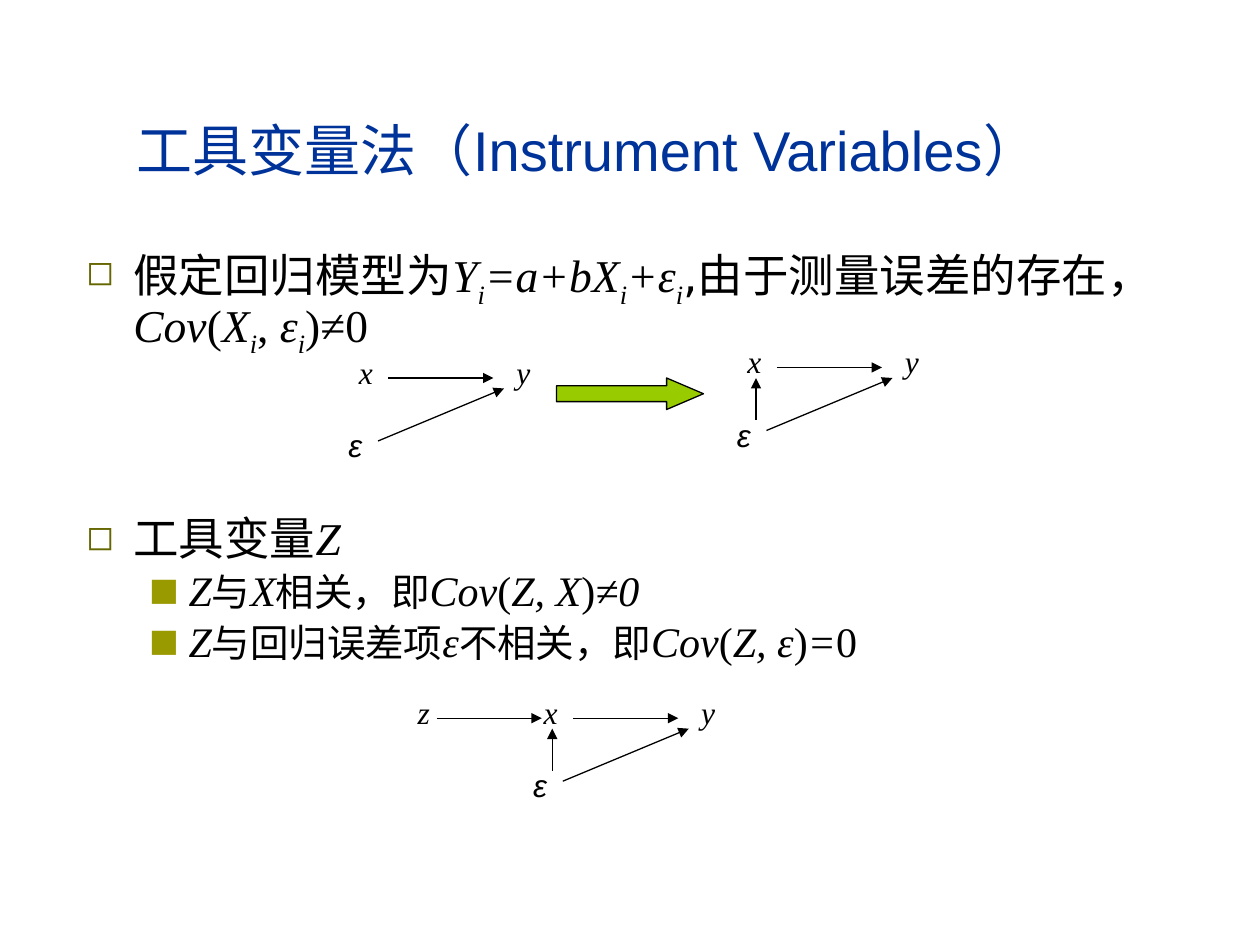
from dataclasses import dataclass

from lxml.etree import SubElement
from pptx import Presentation
from pptx.dml.color import RGBColor as Color
from pptx.enum.shapes import MSO_CONNECTOR as Connector, MSO_SHAPE as Shape
from pptx.enum.text import MSO_ANCHOR as Anchor, MSO_AUTO_SIZE as AutoSize, PP_ALIGN as Align
from pptx.oxml.ns import qn
from pptx.util import Pt


@dataclass(frozen=True)
class Theme:
    title_color: str = "003399"
    ink: str = "000000"
    arrow_fill: str = "99CC00"
    bullet_colors: tuple = ("666600", "999900")
    bullet_marks: tuple = ("◻", "■")
    bullet_indents: tuple = ((27, -27), (58.5, -22.5))
    title_size: int = 32
    body_size: int = 26
    sub_size: int = 22
    sub_math_size: int = 24
    label_size: int = 18
    line_width: float = 0.75
    sans: str = "Arial"
    cjk: str = "DejaVu Sans"
    serif: str = "Times New Roman"


def add_text(para, text, *, font, size, color, italic=False, subscript=False):
    span = para.add_run()
    span.text = text
    span.font.name, span.font.size = font, Pt(size)
    span.font.italic = italic
    span.font.color.rgb = Color.from_string(color)
    properties = span.font._element
    SubElement(properties, qn("a:ea")).set("typeface", font)
    if subscript:
        properties.set("baseline", "-25000")


class SlideBuilder:
    def __init__(self, slide, theme):
        self.slide, self.theme = slide, theme

    def place(self, shape, left, top, width, height):
        shape.left, shape.top = Pt(left), Pt(top)
        shape.width, shape.height = Pt(width), Pt(height)

    def title(self, text, *place):
        box = self.slide.shapes.title
        self.place(box, *place)
        box.text_frame.vertical_anchor = Anchor.BOTTOM
        box.text_frame.auto_size = AutoSize.NONE
        para = box.text_frame.paragraphs[0]
        para.alignment = Align.CENTER
        add_text(para, text, font=self.theme.sans, size=self.theme.title_size,
                 color=self.theme.title_color)

    def body(self, items, *place):
        """Fill the body placeholder from (level, space before, spans) items."""
        box = self.slide.placeholders[1]
        self.place(box, *place)
        frame = box.text_frame
        frame.auto_size = AutoSize.NONE
        for index, (level, space, spans) in enumerate(items):
            para = frame.add_paragraph() if index else frame.paragraphs[0]
            para.level = level
            para.line_spacing, para.space_before = 0.8, Pt(space)
            self.bullet(para, level)
            for text, kind in spans:
                self.body_span(para, level, text, kind)

    def body_span(self, para, level, text, kind):
        """Add a span of kind cjk, math (italic), sub (italic subscript) or plain."""
        theme = self.theme
        is_cjk = kind == "cjk"
        sub_size = theme.sub_size if is_cjk else theme.sub_math_size
        add_text(para, text, font=theme.cjk if is_cjk else theme.serif,
                 size=sub_size if level else theme.body_size, color=theme.ink,
                 italic=kind in ("math", "sub"), subscript=kind == "sub")

    def bullet(self, para, level):
        theme = self.theme
        margin, indent = theme.bullet_indents[level]
        properties = para._p.get_or_add_pPr()
        properties.set("marL", str(Pt(margin)))
        properties.set("indent", str(Pt(indent)))
        color = SubElement(properties, qn("a:buClr"))
        SubElement(color, qn("a:srgbClr")).set("val", theme.bullet_colors[level])
        SubElement(properties, qn("a:buSzPct")).set("val", "75000")
        SubElement(properties, qn("a:buFont")).set("typeface", theme.cjk)
        SubElement(properties, qn("a:buChar")).set("char", theme.bullet_marks[level])

    def label(self, text, left, top, width=60, font=None):
        box = self.slide.shapes.add_textbox(Pt(left), Pt(top), Pt(width), Pt(29))
        box.text_frame.word_wrap = True
        add_text(box.text_frame.paragraphs[0], text, font=font or self.theme.serif,
                 size=self.theme.label_size, color=self.theme.ink, italic=True)

    def arrow(self, start, end):
        line = self.slide.shapes.add_connector(Connector.STRAIGHT, *map(Pt, start + end))
        line.line.color.rgb = Color.from_string(self.theme.ink)
        line.line.width = Pt(self.theme.line_width)
        SubElement(line.line._get_or_add_ln(), qn("a:tailEnd")).set("type", "triangle")
        SubElement(line._element.spPr, qn("a:effectLst"))

    def block_arrow(self, left, top, width, height):
        shape = self.slide.shapes.add_shape(
            Shape.RIGHT_ARROW, Pt(left), Pt(top), Pt(width), Pt(height))
        shape.adjustments[1] = 1.17
        shape.shadow.inherit = False
        shape.fill.solid()
        shape.fill.fore_color.rgb = Color.from_string(self.theme.arrow_fill)
        shape.line.color.rgb = Color.from_string(self.theme.ink)
        shape.line.width = Pt(self.theme.line_width)

    def causal_diagram(self, left, top, error_affects_x=False, instrument=False):
        """Draw x → y ← ε from the corner of the x label, with optional ε → x and z → x."""
        def at(x, y):
            return left + x, top + y

        self.label("x", *at(0, 0))
        self.label("y", *at(90, 0))
        self.label("ε", *at(-6, 42), width=42, font=self.theme.sans)
        self.arrow(at(24, 18), at(84, 18))
        self.arrow(at(18, 54), at(90, 24))
        if error_affects_x:
            self.arrow(at(12, 48), at(12, 24))
        if instrument:
            self.label("z", *at(-72, 0))
            self.arrow(at(-54, 18), at(6, 18))


BODY_ITEMS = [
    (0, 6, [("假定回归模型为", "cjk"), ("Y", "math"), ("i", "sub"), ("=a+bX", "math"),
            ("i", "sub"), ("+ε", "math"), ("i", "sub"),
            (",由于测量误差的存在，", "cjk"), ("Cov", "math"), ("(", "plain"),
            ("X", "math"), ("i", "sub"), (", ", "plain"), ("ε", "math"),
            ("i", "sub"), (")≠0", "plain")]),
    (0, 96, [("工具变量", "cjk"), ("Z", "math")]),
    (1, 6, [("Z", "math"), ("与", "cjk"), ("X", "math"), ("相关，即", "cjk"),
            ("Cov", "math"), ("(", "plain"), ("Z, X", "math"), (")", "plain"),
            ("≠0", "math")]),
    (1, 6, [("Z", "math"), ("与回归误差项", "cjk"), ("ε", "math"), ("不相关，即", "cjk"),
            ("Cov", "math"), ("(", "plain"), ("Z, ε", "math"), (")", "plain"),
            ("=", "math"), ("0", "plain")]),
]


def main():
    deck = Presentation()
    deck.slide_width, deck.slide_height = Pt(720), Pt(540)
    page = SlideBuilder(deck.slides.add_slide(deck.slide_layouts[1]), Theme())
    page.title("工具变量法（Instrument Variables）", 30, 18, 612, 90)
    page.body(BODY_ITEMS, 42, 141, 648, 356)
    page.causal_diagram(198, 198)
    page.block_arrow(318, 216, 84, 18)
    page.causal_diagram(420, 192, error_affects_x=True)
    page.causal_diagram(303.6, 392.4, error_affects_x=True, instrument=True)
    deck.save("out.pptx")


if __name__ == "__main__":
    main()
